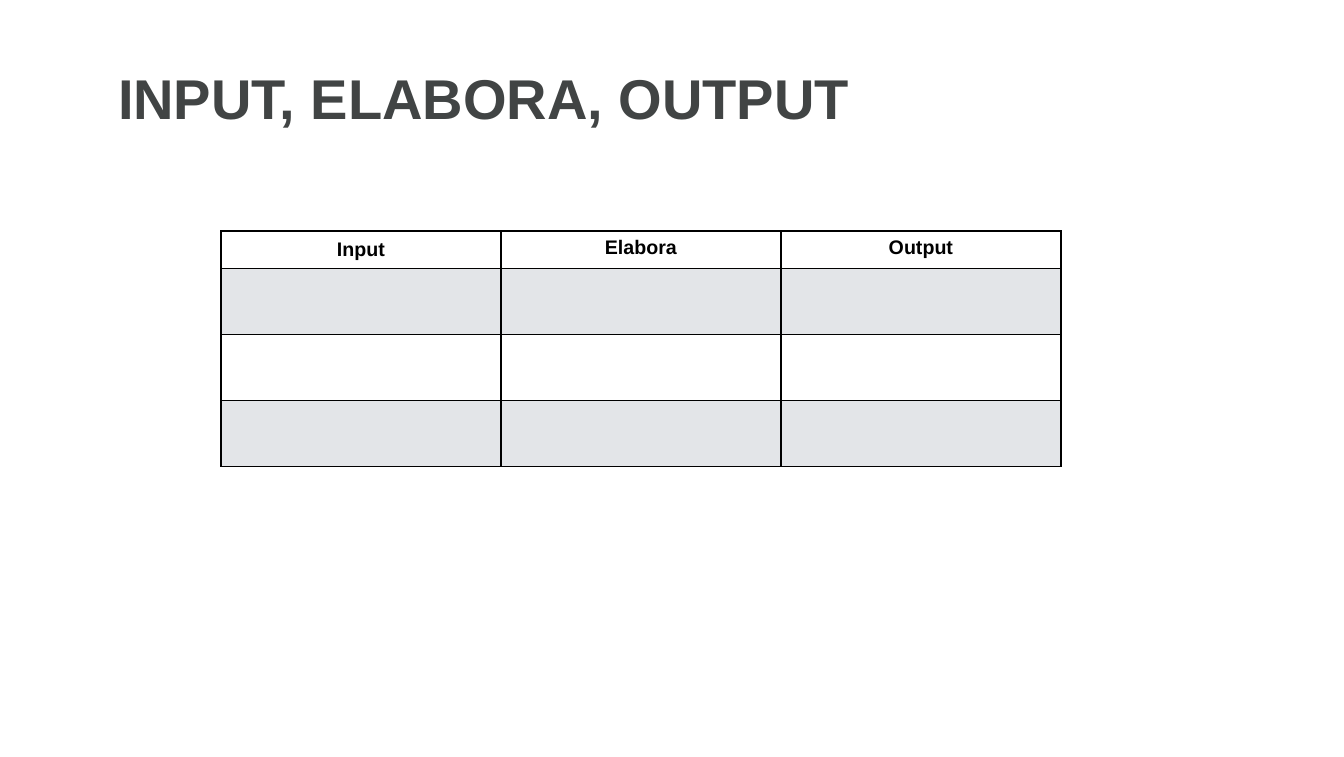
import pptx
import pptx.dml.color
import pptx.enum.text
import pptx.oxml
import pptx.oxml.ns
import pptx.util

SCALE = 914400 / 100.9
INK, WHITE, GREY = "000000", "FFFFFF", "E3E5E8"
HEADS = ["Input", "Elabora", "Output"]
ROWS = [36, 66, 66, 66]
COL = 280


def px(n):
    return pptx.util.Emu(round(n * SCALE))


def color(code):
    return pptx.dml.color.RGBColor.from_string(code)


def write(frame, text, size, tint=INK, align="LEFT", space=None):
    para = frame.paragraphs[0]
    para.alignment = getattr(pptx.enum.text.PP_ALIGN, align)
    para.line_spacing = space
    run = para.add_run()
    run.text = text
    font = run.font
    font.name, font.size, font.bold = "Arial", pptx.util.Pt(size), True
    font.color.rgb = color(tint)


def title(slide, text):
    shape = slide.shapes.title
    shape.left, shape.top, shape.width, shape.height = map(px, (113, 58, 1168, 346))
    frame = shape.text_frame
    frame.word_wrap = True
    frame.auto_size = pptx.enum.text.MSO_AUTO_SIZE.SHAPE_TO_FIT_TEXT
    frame.vertical_anchor = pptx.enum.text.MSO_ANCHOR.TOP
    for side in ("left", "top", "right", "bottom"):
        setattr(frame, "margin_" + side, px(5))
    write(frame, text, 40, tint="414444")


def border(cell):
    props = cell._tc.get_or_add_tcPr()
    # Border lines come before the fill in the cell properties
    for spot, side in enumerate("LRTB"):
        line = pptx.oxml.parse_xml(
            f'<a:ln{side} {pptx.oxml.ns.nsdecls("a")} w="12700">'
            f'<a:solidFill><a:srgbClr val="{INK}"/></a:solidFill></a:ln{side}>')
        props.insert(spot, line)


def style(cell, fill):
    cell.fill.solid()
    cell.fill.fore_color.rgb = color(fill)
    for side in ("left", "top", "right", "bottom"):
        setattr(cell, "margin_" + side, px(6))
    border(cell)


def table(slide):
    frame = slide.shapes.add_table(
        len(ROWS), len(HEADS), px(221), px(231), px(COL * len(HEADS)), px(sum(ROWS)))
    grid = frame.table
    for col in grid.columns:
        col.width = px(COL)
    for i, height in enumerate(ROWS):
        grid.rows[i].height = px(height)
        for cell in grid.rows[i].cells:
            style(cell, GREY if i % 2 else WHITE)
    # Header row, with looser lines in the first cell
    for i, head in enumerate(HEADS):
        write(grid.cell(0, i).text_frame, head, 14, align="CENTER",
              space=None if i else 1.08)


def main():
    deck = pptx.Presentation()
    deck.slide_width, deck.slide_height = px(1344), px(757)
    slide = deck.slides.add_slide(deck.slide_layouts[5])
    title(slide, "INPUT, ELABORA, OUTPUT")
    table(slide)
    deck.save("out.pptx")


if __name__ == "__main__":
    main()
